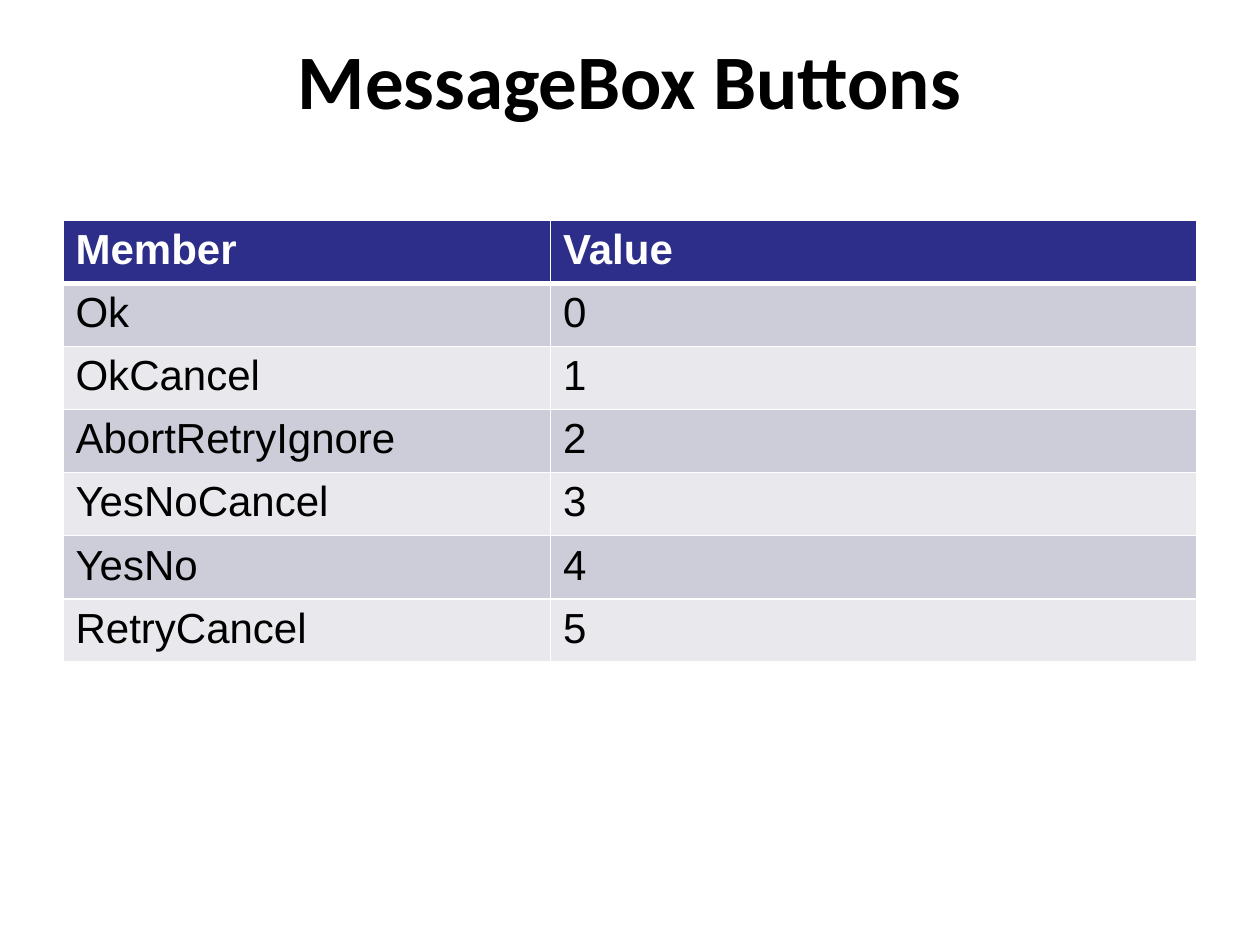
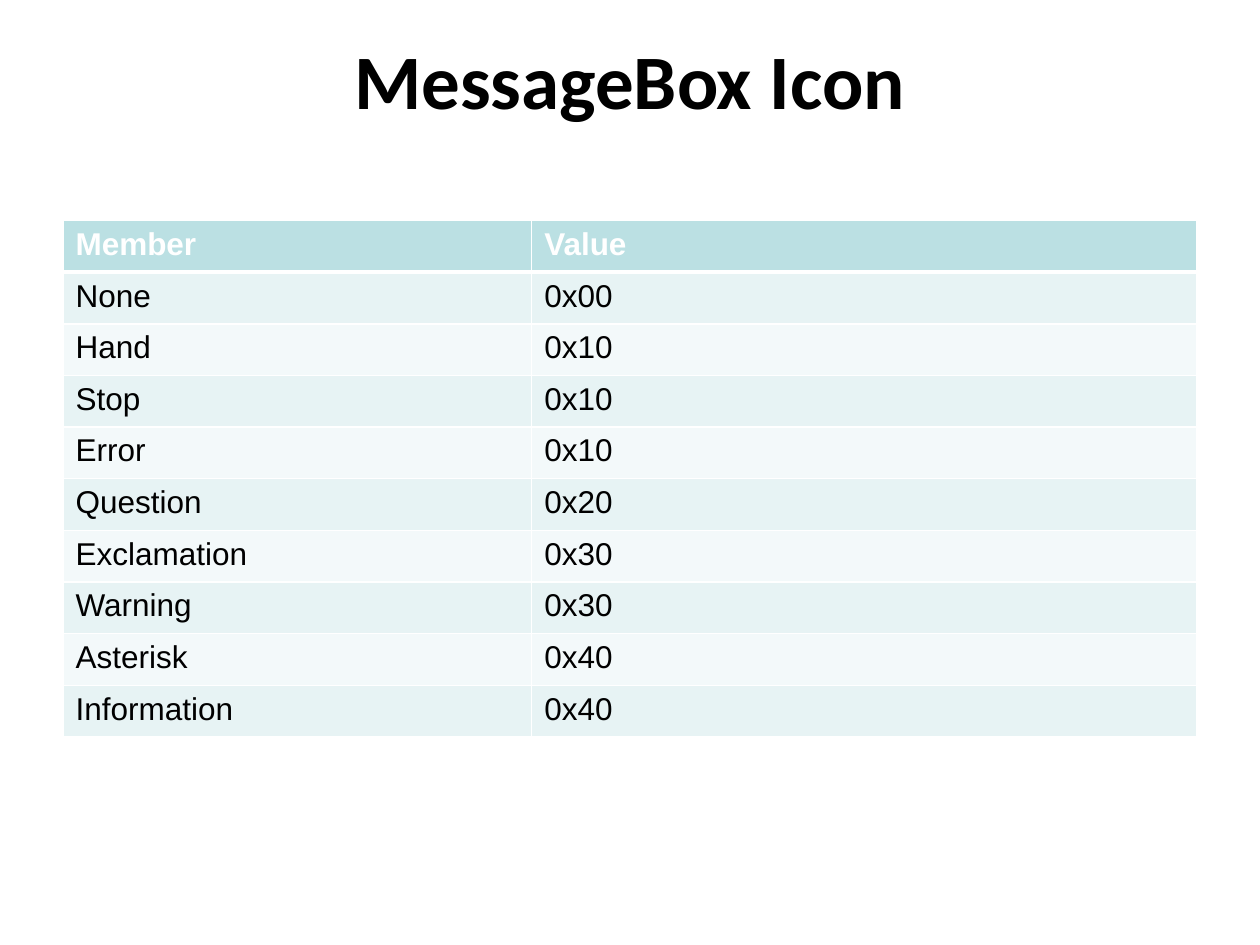
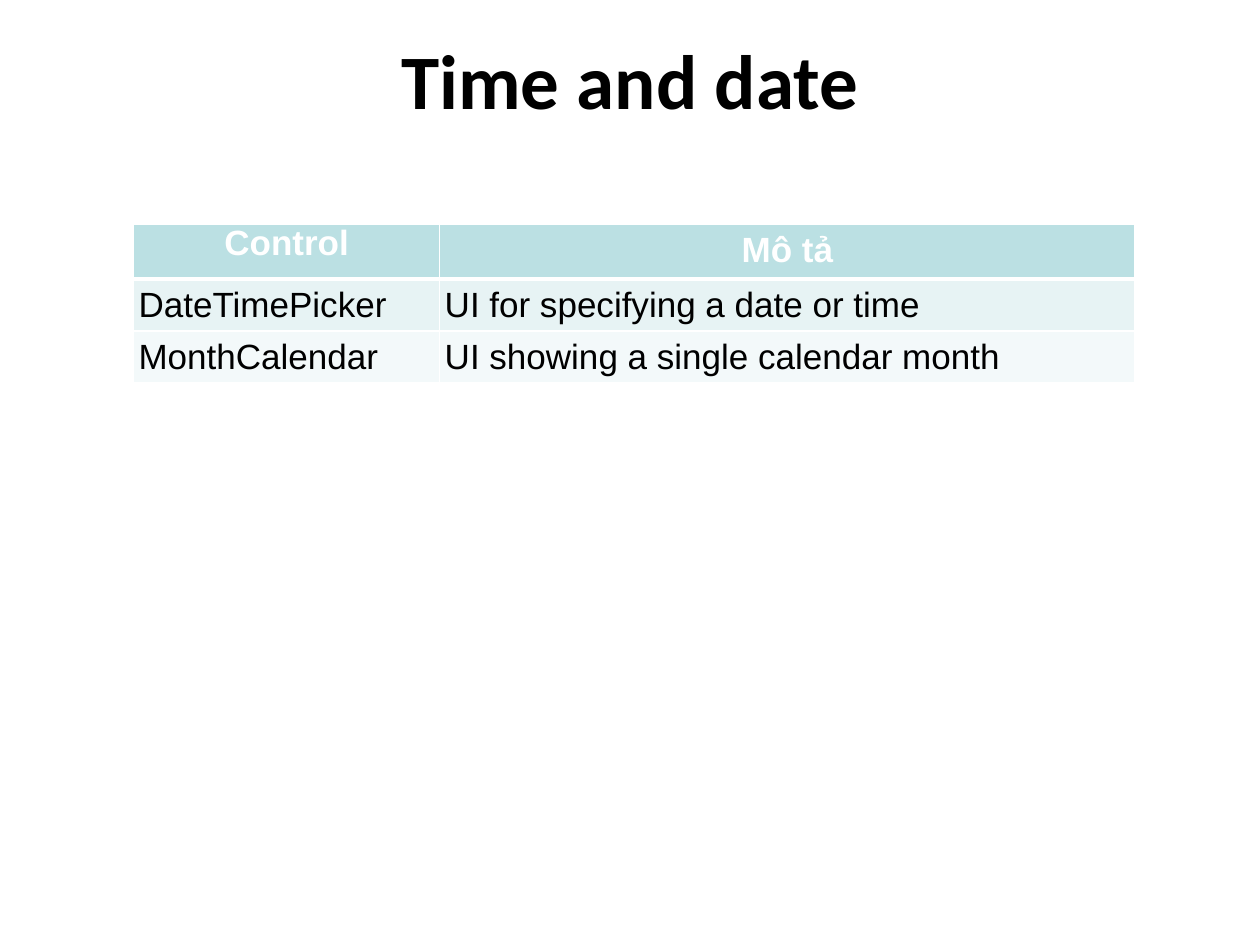
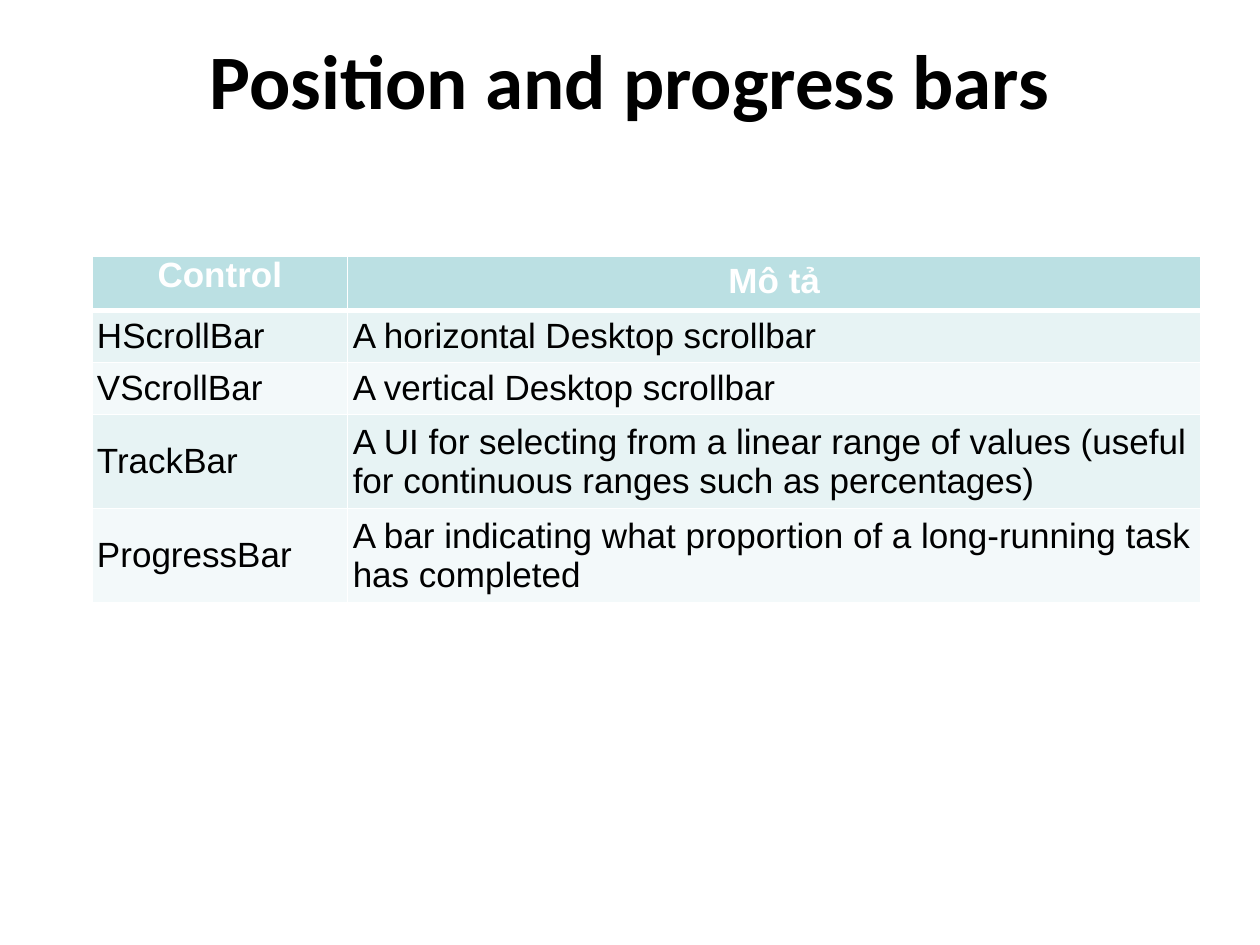
from lxml import etree
from pptx import Presentation
from pptx.dml.color import RGBColor
from pptx.enum.text import MSO_ANCHOR, PP_ALIGN
from pptx.oxml.ns import qn
from pptx.util import Inches, Pt

CENTER, LEFT = PP_ALIGN.CENTER, PP_ALIGN.LEFT
MIDDLE, TOP = MSO_ANCHOR.MIDDLE, MSO_ANCHOR.TOP

BLACK = RGBColor(0x00, 0x00, 0x00)
WHITE = RGBColor(0xFF, 0xFF, 0xFF)
NAVY = RGBColor(0x2D, 0x2D, 0x8A)
NAVY_BANDS = (RGBColor(0xCD, 0xCD, 0xDA), RGBColor(0xE8, 0xE8, 0xED))
TEAL = RGBColor(0xBB, 0xE0, 0xE3)
TEAL_BANDS = (RGBColor(0xE7, 0xF3, 0xF4), RGBColor(0xF3, 0xF9, 0xFA))

SLIDE_WIDTH, SLIDE_HEIGHT = 10, 7.5
MARGIN = SLIDE_WIDTH / 20
TITLE_HEIGHT = SLIDE_HEIGHT / 6
ROW_HEIGHT, TALL_ROW_HEIGHT, TWO_LINE_HEIGHT = 0.41, 0.47, 0.7
TIGHT_INSET = 0.04
GRID_WIDTH, HEADER_RULE_WIDTH = 1, 3

NAVY_LOOK = {"header": NAVY, "bands": NAVY_BANDS, "size": 24, "compact": False}
TEAL_LOOK = {"header": TEAL, "bands": TEAL_BANDS, "size": 18, "compact": False}
COMPACT_LOOK = {"header": TEAL, "bands": TEAL_BANDS, "size": 20, "compact": True}

SLIDES = [
    {
        "title": "MessageBox Buttons",
        "look": NAVY_LOOK,
        "origin": (MARGIN, 1.75),
        "columns": (3.87, 5.13),
        "row_heights": [TALL_ROW_HEIGHT] * 7,
        "rows": [
            ("Member", "Value"),
            ("Ok", "0"),
            ("OkCancel", "1"),
            ("AbortRetryIgnore", "2"),
            ("YesNoCancel", "3"),
            ("YesNo", "4"),
            ("RetryCancel", "5"),
        ],
    },
    {
        "title": "MessageBox Icon",
        "look": TEAL_LOOK,
        "origin": (MARGIN, 1.75),
        "columns": (3.72, 5.28),
        "row_heights": [ROW_HEIGHT] * 10,
        "rows": [
            ("Member", "Value"),
            ("None", "0x00"),
            ("Hand", "0x10"),
            ("Stop", "0x10"),
            ("Error", "0x10"),
            ("Question", "0x20"),
            ("Exclamation", "0x30"),
            ("Warning", "0x30"),
            ("Asterisk", "0x40"),
            ("Information", "0x40"),
        ],
    },
    {
        "title": "Time and date",
        "look": COMPACT_LOOK,
        "origin": (1.06, 1.78),
        "columns": (2.43, 5.52),
        "row_heights": [ROW_HEIGHT] * 3,
        "rows": [
            ("Control", "Mô tả"),
            ("DateTimePicker", "UI for specifying a date or time"),
            ("MonthCalendar", "UI showing a single calendar month"),
        ],
    },
    {
        "title": "Position and progress bars",
        "look": COMPACT_LOOK,
        "origin": (0.73, 2.03),
        "columns": (2.03, 6.77),
        "row_heights": [ROW_HEIGHT] * 3 + [TWO_LINE_HEIGHT] * 2,
        "rows": [
            ("Control", "Mô tả"),
            ("HScrollBar", "A horizontal Desktop scrollbar"),
            ("VScrollBar", "A vertical Desktop scrollbar"),
            ("TrackBar", "A UI for selecting from a linear range of values "
                         "(useful for continuous ranges such as percentages)"),
            ("ProgressBar", "A bar indicating what proportion of a "
                            "long-running task has completed"),
        ],
    },
]


def format_text(text_frame, font_name, size, color, bold, alignment):
    paragraph = text_frame.paragraphs[0]
    paragraph.alignment = alignment
    font = paragraph.runs[0].font
    font.name, font.size, font.bold = font_name, Pt(size), bold
    font.color.rgb = color


def add_title(slide, title):
    shape = slide.shapes.add_textbox(
        Inches(MARGIN), 0, Inches(SLIDE_WIDTH - 2 * MARGIN), Inches(TITLE_HEIGHT))
    text_frame = shape.text_frame
    text_frame.word_wrap = True
    text_frame.vertical_anchor = MIDDLE
    text_frame.text = title
    format_text(text_frame, "Calibri", 44, BLACK, True, CENTER)


def set_borders(cell, row_index):
    widths = {
        "a:lnL": GRID_WIDTH,
        "a:lnR": GRID_WIDTH,
        "a:lnT": HEADER_RULE_WIDTH if row_index == 1 else GRID_WIDTH,
        "a:lnB": HEADER_RULE_WIDTH if row_index == 0 else GRID_WIDTH,
    }
    properties = cell._tc.get_or_add_tcPr()
    for tag, width in widths.items():
        line = etree.SubElement(properties, qn(tag), w=str(Pt(width)))
        fill = etree.SubElement(line, qn("a:solidFill"))
        etree.SubElement(fill, qn("a:srgbClr"), val=str(WHITE))


def set_insets(cell, inset):
    cell.margin_left = cell.margin_right = Inches(inset)
    cell.margin_top = cell.margin_bottom = Inches(inset)


def format_cell(cell, text, row_index, column_index, look):
    is_header = row_index == 0
    compact = look["compact"]
    set_borders(cell, row_index)
    cell.fill.solid()
    cell.fill.fore_color.rgb = (
        look["header"] if is_header else look["bands"][(row_index - 1) % 2])
    cell.vertical_anchor = MIDDLE if compact and not is_header else TOP
    if compact and not is_header:
        set_insets(cell, TIGHT_INSET)
    elif compact and column_index == 0:
        set_insets(cell, 0)
    cell.text_frame.text = text
    format_text(cell.text_frame, "Arial", look["size"],
                WHITE if is_header else BLACK, is_header,
                CENTER if compact and is_header else LEFT)


def add_member_table(slide, content):
    rows, columns, heights = content["rows"], content["columns"], content["row_heights"]
    left, top = content["origin"]
    table = slide.shapes.add_table(
        len(rows), len(columns), Inches(left), Inches(top),
        Inches(sum(columns)), Inches(sum(heights))).table
    for column, width in zip(table.columns, columns):
        column.width = Inches(width)
    for row_index, (texts, height) in enumerate(zip(rows, heights)):
        table.rows[row_index].height = Inches(height)
        for column_index, text in enumerate(texts):
            format_cell(table.cell(row_index, column_index), text,
                        row_index, column_index, content["look"])


def main():
    presentation = Presentation()
    presentation.slide_width = Inches(SLIDE_WIDTH)
    presentation.slide_height = Inches(SLIDE_HEIGHT)
    blank_layout = presentation.slide_layouts[6]
    for content in SLIDES:
        slide = presentation.slides.add_slide(blank_layout)
        add_title(slide, content["title"])
        add_member_table(slide, content)
    presentation.save("out.pptx")


if __name__ == "__main__":
    main()
